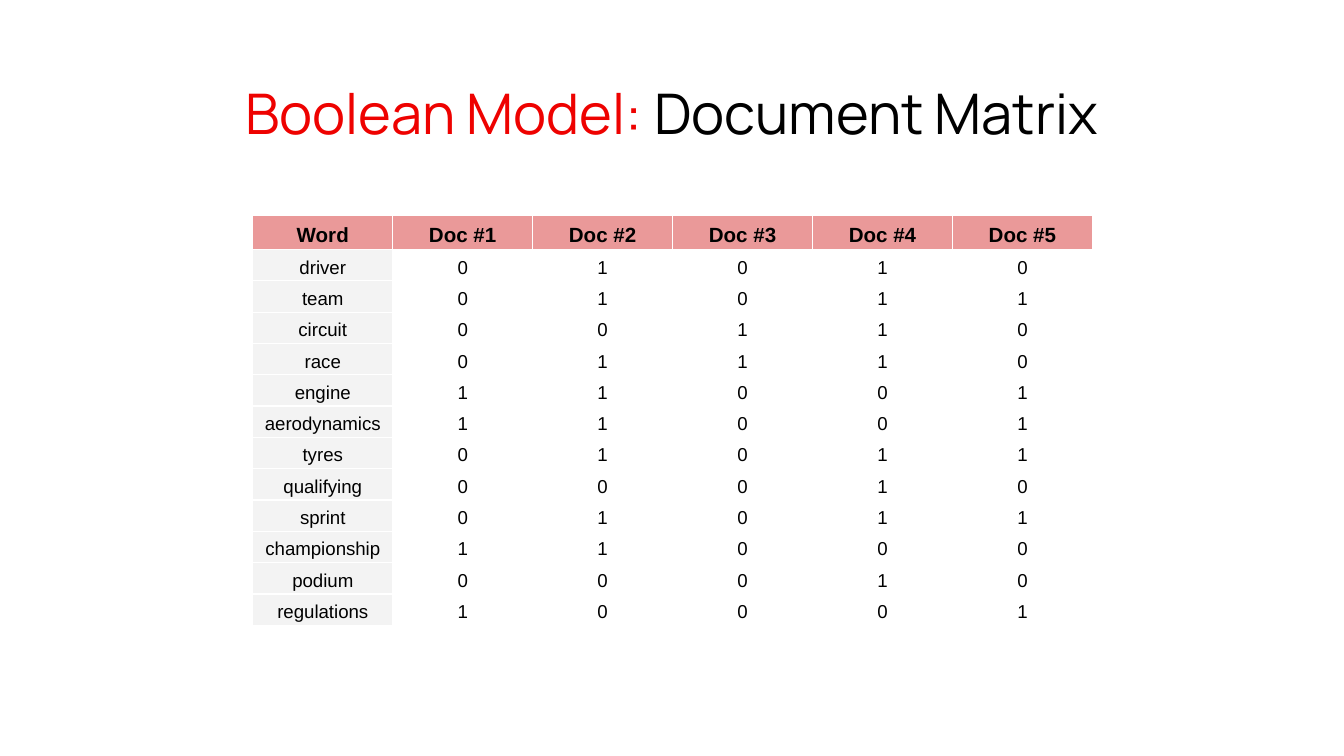
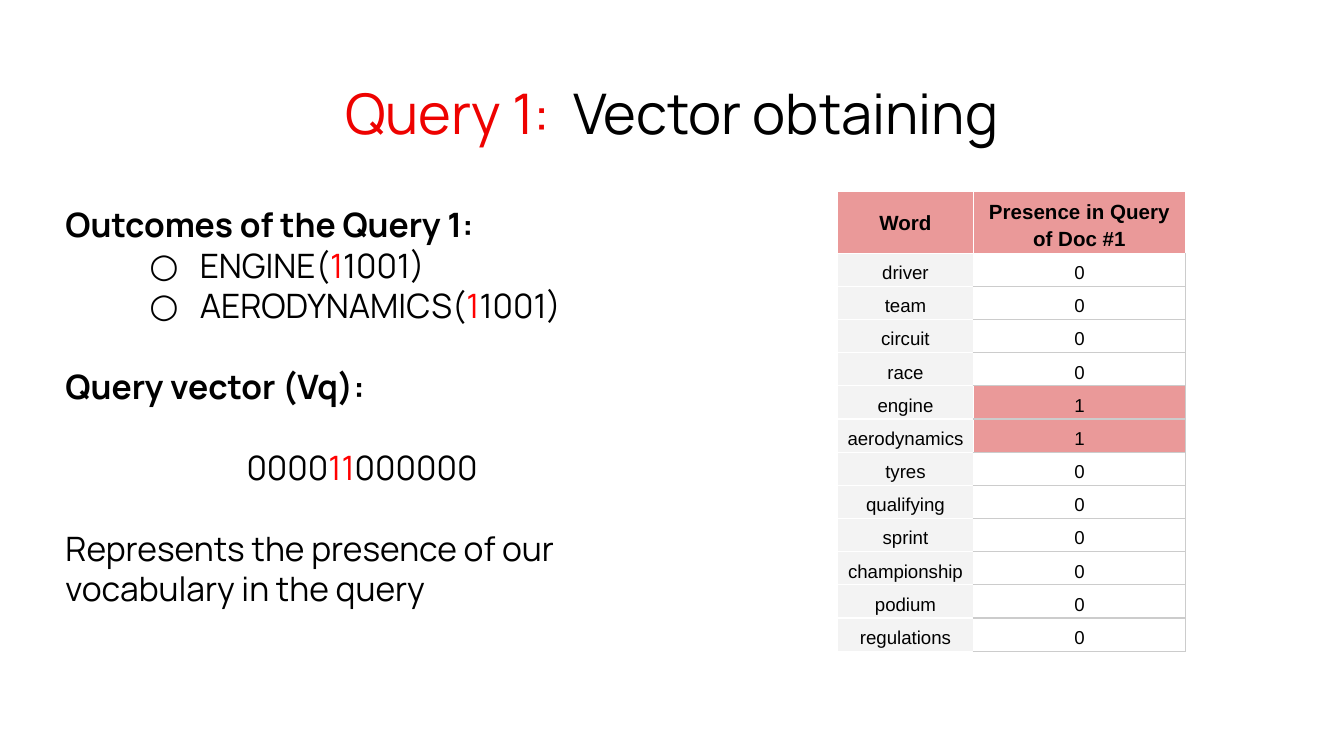
from dataclasses import dataclass

from lxml.etree import SubElement
from pptx import Presentation
from pptx.dml.color import RGBColor
from pptx.enum.text import MSO_ANCHOR, MSO_AUTO_SIZE, PP_ALIGN
from pptx.oxml.ns import qn
from pptx.util import Pt


@dataclass(frozen=True)
class Theme:
    """Colours, fonts and type sizes shared by the slides."""
    black: str = "000000"
    white: str = "FFFFFF"
    title_red: str = "EE0200"
    digit_red: str = "FF0000"
    pink: str = "EA9999"
    word_grey: str = "F3F3F3"
    rule_grey: str = "CCCCCC"
    text_font: str = "Manrope"
    table_font: str = "Arial"
    title_size: float = 30
    body_size: float = 18
    header_size: float = 11
    cell_size: float = 10
    blank_line: float = 21.7


THEME = Theme()

PRESENCE = {
    "driver": "01010",
    "team": "01011",
    "circuit": "00110",
    "race": "01110",
    "engine": "11001",
    "aerodynamics": "11001",
    "tyres": "01011",
    "qualifying": "00010",
    "sprint": "01011",
    "championship": "11000",
    "podium": "00010",
    "regulations": "10001",
}
QUERY_WORDS = ("engine", "aerodynamics")


def write_text(paragraph, *runs, size=THEME.body_size, font=THEME.text_font,
               bold=False, align=PP_ALIGN.LEFT, before=0, line_spacing=None):
    """Fill a paragraph with runs, each a string or a (string, colour) pair."""
    paragraph.alignment = align
    if before:
        paragraph.space_before = Pt(before)
    if line_spacing:
        paragraph.line_spacing = line_spacing
    for item in runs:
        text, colour = (item, THEME.black) if isinstance(item, str) else item
        run = paragraph.add_run()
        run.text = text
        run.font.name = font
        run.font.size = Pt(size)
        run.font.bold = bold
        run.font.color.rgb = RGBColor.from_string(colour)


def add_bullet(paragraph):
    """Give a paragraph a hanging second-level circle bullet."""
    paragraph.level = 1
    properties = paragraph._p.get_or_add_pPr()
    properties.set("marL", str(Pt(72)))
    properties.set("indent", str(Pt(-27)))
    colour = SubElement(properties, qn("a:buClr"))
    SubElement(colour, qn("a:srgbClr"), val=THEME.black)
    SubElement(properties, qn("a:buFont"), typeface=THEME.text_font)
    SubElement(properties, qn("a:buChar"), char="○")


def add_text_box(slide, left, top, width, height):
    """Add a wrapping text box and return its text frame."""
    frame = slide.shapes.add_textbox(Pt(left), Pt(top), Pt(width), Pt(height)).text_frame
    frame.word_wrap = True
    frame.margin_left = frame.margin_right = Pt(7.2)
    frame.margin_top = frame.margin_bottom = Pt(7.2)
    return frame


def add_slide(presentation, red_title, black_title):
    """Add a blank slide with a two-colour title."""
    slide = presentation.slides.add_slide(presentation.slide_layouts[6])
    frame = add_text_box(slide, 24.5, 35, 671, 45.4)
    write_text(frame.paragraphs[0], (red_title, THEME.title_red), black_title,
               size=THEME.title_size, align=PP_ALIGN.CENTER)
    return slide


def set_borders(cell, width, **colours):
    """Draw the four cell borders, white unless a side has its own colour."""
    properties = cell._tc.get_or_add_tcPr()
    for side in "LRTB":
        line = SubElement(properties, qn(f"a:ln{side}"), w=str(Pt(width)))
        fill = SubElement(line, qn("a:solidFill"))
        SubElement(fill, qn("a:srgbClr"), val=colours.get(side, THEME.white))


def format_cell(cell, text, fill=None, header=False, anchor=MSO_ANCHOR.BOTTOM):
    """Write one table cell with its fill and margins."""
    cell.margin_left = cell.margin_right = Pt(2.25)
    cell.margin_top = cell.margin_bottom = Pt(1.5)
    cell.vertical_anchor = anchor
    if fill:
        cell.fill.solid()
        cell.fill.fore_color.rgb = RGBColor.from_string(fill)
    else:
        cell.fill.background()
    write_text(cell.text_frame.paragraphs[0], text, font=THEME.table_font,
               size=THEME.header_size if header else THEME.cell_size,
               bold=header, align=PP_ALIGN.CENTER, line_spacing=1.15)


def add_word_table(slide, rows, left, top, widths, header_height, row_height,
                   border, ruled=False, highlighted=(), corner_anchor=MSO_ANCHOR.BOTTOM):
    """Add a table with a pink header row and a grey word column."""
    heights = [header_height] + [row_height] * (len(rows) - 1)
    table = slide.shapes.add_table(len(rows), len(widths), Pt(left), Pt(top),
                                   Pt(sum(widths)), Pt(sum(heights))).table
    table.first_row = table.horz_banding = False
    for column, width in zip(table.columns, widths):
        column.width = Pt(width)
    for row, height in zip(table.rows, heights):
        row.height = Pt(height)
    for i, values in enumerate(rows):
        for j, value in enumerate(values):
            cell = table.cell(i, j)
            colours = {}
            if ruled and i and j:
                colours = dict.fromkeys("RB" if i == 1 else "TRB", THEME.rule_grey)
            set_borders(cell, border, **colours)
            if i == 0 or (j and values[0] in highlighted):
                fill = THEME.pink
            else:
                fill = None if j else THEME.word_grey
            anchor = MSO_ANCHOR.BOTTOM if i or j else corner_anchor
            format_cell(cell, value, fill, header=i == 0, anchor=anchor)


def add_query_outcomes(slide):
    """Add the query results and the query vector."""
    frame = add_text_box(slide, 28, 102.3, 332, 232.6)
    frame.auto_size = MSO_AUTO_SIZE.SHAPE_TO_FIT_TEXT
    write_text(frame.paragraphs[0], "Outcomes of the Query 1:", bold=True)
    for word in QUERY_WORDS:
        bits = PRESENCE[word]
        paragraph = frame.add_paragraph()
        add_bullet(paragraph)
        write_text(paragraph, f"{word.upper()}(", (bits[0], THEME.digit_red), f"{bits[1:]})")
    gap = THEME.blank_line
    write_text(frame.add_paragraph(), "Query vector (Vq):", bold=True, before=gap)
    write_text(frame.add_paragraph(), "0000", ("11", THEME.digit_red), "000000",
               align=PP_ALIGN.CENTER, before=gap)
    write_text(frame.add_paragraph(),
               "Represents the presence of our vocabulary in the query", before=gap)


def add_matrix_slide(presentation):
    """Build the slide with the document matrix."""
    slide = add_slide(presentation, "Boolean Model: ", "Document Matrix")
    rows = [["Word"] + [f"Doc #{number}" for number in range(1, 6)]]
    rows += [[word, *bits] for word, bits in PRESENCE.items()]
    add_word_table(slide, rows, 135.4, 115.5, [75] * 6, 16.8, 15.8, border=0.75)


def add_query_slide(presentation):
    """Build the slide with the query vector."""
    slide = add_slide(presentation, "Query 1: ", " Vector obtaining")
    add_query_outcomes(slide)
    rows = [["Word", "Presence in Query of Doc #1"]]
    rows += [[word, str(int(word in QUERY_WORDS))] for word in PRESENCE]
    add_word_table(slide, rows, 448.7, 102.3, [72.7, 113.8], 19.4, 17.8, border=0.67,
                   ruled=True, highlighted=QUERY_WORDS, corner_anchor=MSO_ANCHOR.MIDDLE)


def main():
    """Create and save the presentation."""
    presentation = Presentation()
    presentation.slide_width = Pt(720)
    presentation.slide_height = Pt(405)
    add_matrix_slide(presentation)
    add_query_slide(presentation)
    presentation.save("out.pptx")


if __name__ == "__main__":
    main()
